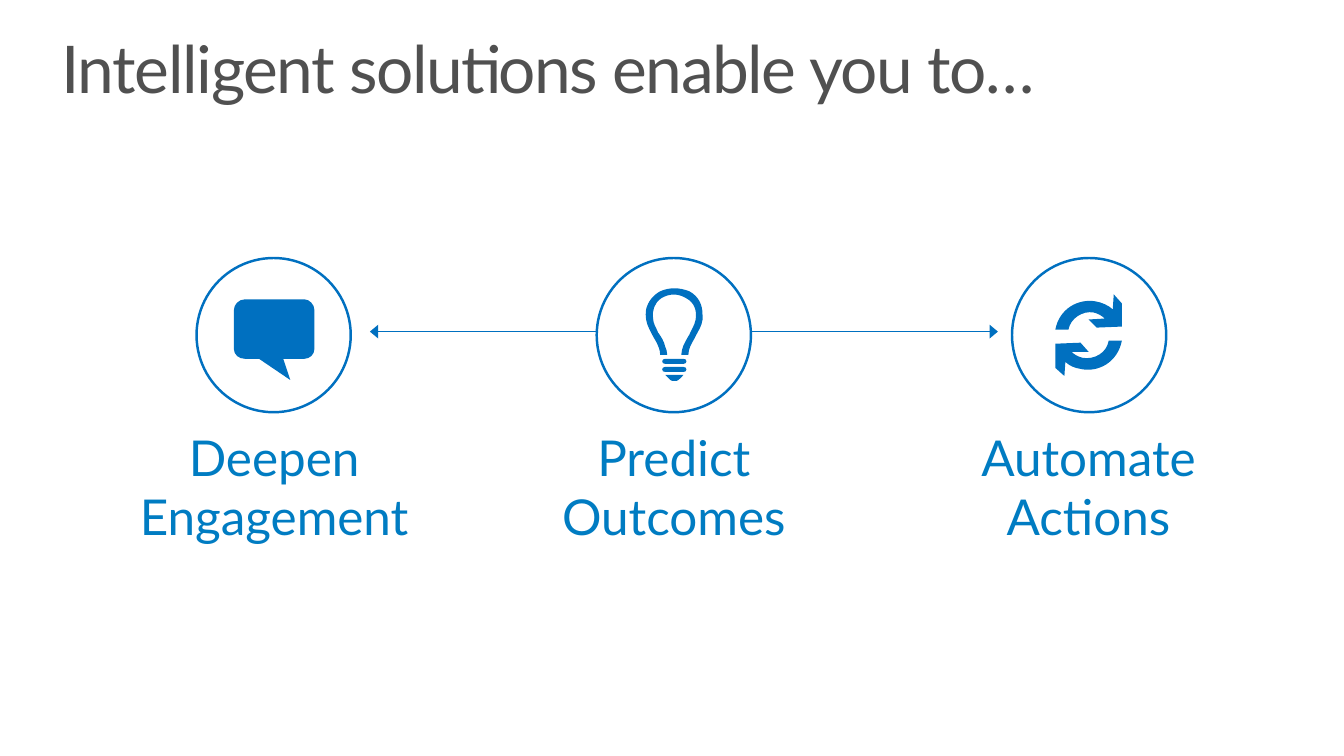
import dataclasses
import typing

import pptx
import pptx.dml.color
import pptx.enum.shapes
import pptx.enum.text
import pptx.oxml
import pptx.oxml.ns
import pptx.util

Pt = pptx.util.Pt
Shape = pptx.enum.shapes.MSO_SHAPE
Align = pptx.enum.text.PP_ALIGN
Anchor = pptx.enum.text.MSO_ANCHOR
Fit = pptx.enum.text.MSO_AUTO_SIZE

BLUE = pptx.dml.color.RGBColor(0x00, 0x70, 0xC0)
AZURE = pptx.dml.color.RGBColor(0x00, 0x7C, 0xC2)
GREY = pptx.dml.color.RGBColor(0x50, 0x50, 0x50)
WHITE = pptx.dml.color.RGBColor(0xFF, 0xFF, 0xFF)
FONT = "Lato"
SPACE = pptx.oxml.ns.nsdecls("a")
UNIT = 0.72
RING = 110.16
RING_TOP = 184.32
LABEL_TOP = 304.56
LABEL_HIGH = 85.68

Node = tuple[float, ...]
Path = list[Node]


@dataclasses.dataclass
class Goal:
    lines: tuple[str, str]
    ring_left: float
    text_left: float
    text_wide: float


GOALS = [
    Goal(("Automate", "Actions"), 722.88, 699.84, 155.52),
    Goal(("Deepen", "Engagement"), 140.4, 96.48, 198.72),
    Goal(("Predict", "Outcomes"), 426.24, 401.04, 160.56),
]

BUBBLE: Path = [
    (302, 297), (243, 297), (237, 297, 232, 302, 232, 308), (232, 346),
    (232, 352, 237, 356, 243, 356), (257, 356), (288, 377), (281, 356),
    (302, 356), (307, 356, 312, 352, 312, 346), (312, 308),
    (312, 302, 307, 297, 302, 297),
]

BULB: Path = [
    (662, 352), (655, 352), (655, 347, 653, 343, 651, 339),
    (648, 334, 646, 330, 644, 326), (641, 320, 640, 314, 641, 307),
    (643, 299, 648, 293, 655, 289), (664, 285, 674, 285, 684, 289),
    (693, 294, 697, 302, 697, 312), (698, 319, 695, 325, 692, 330),
    (691, 332, 690, 334, 689, 336), (686, 341, 683, 346, 683, 352),
    (676, 352), (676, 349, 677, 346, 678, 343),
    (680, 339, 682, 335, 684, 332), (686, 327, 689, 323, 690, 318),
    (692, 309, 689, 300, 681, 296), (673, 291, 664, 291, 656, 296),
    (649, 301, 647, 308, 648, 316), (648, 321, 651, 325, 653, 330),
    (656, 334, 659, 339, 660, 344), (661, 346, 662, 349, 662, 352),
]

TIP: Path = [
    (660, 372), (678, 372), (676, 374, 675, 376, 673, 377),
    (672, 377, 672, 378, 671, 378), (665, 378, 666, 378, 662, 374),
    (661, 374, 661, 373, 660, 372),
]

UPPER: Path = [
    (1113, 301), (1113, 324), (1088, 325), (1080, 317), (1096, 316),
    (1093, 313, 1089, 311, 1085, 310), (1074, 308, 1062, 316, 1060, 327),
    (1047, 327), (1051, 306, 1070, 296, 1087, 299),
    (1093, 300, 1100, 303, 1104, 307), (1105, 292),
]

LOWER: Path = [
    (1074, 355), (1070, 354, 1066, 352, 1063, 349), (1080, 349),
    (1072, 340), (1047, 341), (1047, 365), (1056, 373), (1057, 359),
    (1061, 363, 1066, 365, 1072, 366), (1090, 370, 1109, 359, 1113, 338),
    (1100, 338), (1098, 350, 1086, 357, 1074, 355),
]


def make_bar(top: float) -> Path:
    mid, low = top + 2.5, top + 5
    return [
        (660, low), (658, low, 657, low - 1, 657, mid),
        (657, top + 1, 658, top, 660, top), (678, top),
        (680, top, 681, top + 1, 681, mid), (681, low - 1, 680, low, 678, low),
    ]


def scale(node: Node) -> list[int]:
    return [Pt(value * UNIT) for value in node]


def bend(shape: typing.Any, paths: list[Path]) -> None:
    nodes = [node for path in paths for node in path[1:]]
    lines = list(shape._element.iter(pptx.oxml.ns.qn("a:lnTo")))
    for line, node in zip(lines, nodes):
        if len(node) == 2:
            continue
        spots = scale(node)
        points = "".join(
            f'<a:pt x="{x - shape.left}" y="{y - shape.top}"/>'
            for x, y in zip(spots[::2], spots[1::2]))
        curve = pptx.oxml.parse_xml(f"<a:cubicBezTo {SPACE}>{points}</a:cubicBezTo>")
        line.getparent().replace(line, curve)


def draw_form(shapes: typing.Any, paths: list[Path]) -> None:
    pen = None
    for path in paths:
        first, *rest = [scale(node[-2:]) for node in path]
        if pen is None:
            pen = shapes.build_freeform(*first)
        else:
            pen.move_to(*first)
        pen.add_line_segments(rest, close=True)
    shape = pen.convert_to_shape()
    bend(shape, paths)
    shape.shadow.inherit = False
    shape.fill.solid()
    shape.fill.fore_color.rgb = BLUE
    shape.line.fill.background()


def write(para: typing.Any, text: str, size: float, tint: typing.Any) -> typing.Any:
    run = para.add_run()
    run.text = text
    run.font.name = FONT
    run.font.size = Pt(size)
    run.font.color.rgb = tint
    return run


def draw_goal(shapes: typing.Any, goal: Goal) -> None:
    box = shapes.add_textbox(
        Pt(goal.text_left), Pt(LABEL_TOP), Pt(goal.text_wide), Pt(LABEL_HIGH))
    frame = box.text_frame
    frame.margin_left = frame.margin_right = frame.margin_top = frame.margin_bottom = Pt(0)
    frame.vertical_anchor = Anchor.MIDDLE
    frame.word_wrap = False
    frame.auto_size = Fit.SHAPE_TO_FIT_TEXT
    for index, text in enumerate(goal.lines):
        para = frame.add_paragraph() if index else frame.paragraphs[0]
        para.alignment = Align.CENTER
        write(para, text, 35.3, AZURE)
    ring = shapes.add_shape(
        Shape.OVAL, Pt(goal.ring_left), Pt(RING_TOP), Pt(RING), Pt(RING))
    ring.shadow.inherit = False
    ring.fill.solid()
    ring.fill.fore_color.rgb = WHITE
    ring.line.color.rgb = BLUE
    ring.line.width = Pt(1.75)


def draw_arrow(shapes: typing.Any) -> None:
    arrow = shapes.add_connector(
        pptx.enum.shapes.MSO_CONNECTOR.STRAIGHT, Pt(264.24), Pt(236.88), Pt(712.8), Pt(236.88))
    arrow.line.color.rgb = BLUE
    arrow.line.width = Pt(1)
    line = arrow.line._get_or_add_ln()
    for tag in ("a:headEnd", "a:tailEnd"):
        line.append(pptx.oxml.parse_xml(f"<{tag} {SPACE} type='triangle' w='lg'/>"))
    arrow._element.spPr.append(pptx.oxml.parse_xml(f"<a:effectLst {SPACE}/>"))


def set_title(title: typing.Any) -> None:
    title.left, title.top = Pt(32.4), Pt(18.72)
    title.width, title.height = Pt(885.6), Pt(70.56)
    frame = title.text_frame
    frame.margin_left = frame.margin_right = Pt(11.52)
    frame.margin_top = frame.margin_bottom = Pt(7.2)
    frame.vertical_anchor = Anchor.TOP
    frame.word_wrap = True
    frame.auto_size = Fit.NONE
    para = frame.paragraphs[0]
    para.alignment = Align.LEFT
    para.line_spacing = 0.9
    run = write(para, "Intelligent solutions enable you to…", 47, GREY)
    run.font._element.set("spc", "-100")


def main() -> None:
    deck = pptx.Presentation()
    deck.slide_width, deck.slide_height = Pt(960), Pt(540)
    slide = deck.slides.add_slide(deck.slide_layouts[5])
    shapes = slide.shapes
    set_title(shapes.title)
    draw_arrow(shapes)
    for goal in GOALS:
        draw_goal(shapes, goal)
    bulb = shapes.add_group_shape().shapes
    for path in (BULB, make_bar(364), make_bar(356), TIP):
        draw_form(bulb, [path])
    draw_form(shapes, [UPPER, LOWER])
    draw_form(shapes, [BUBBLE])
    deck.save("out.pptx")


if __name__ == "__main__":
    main()
